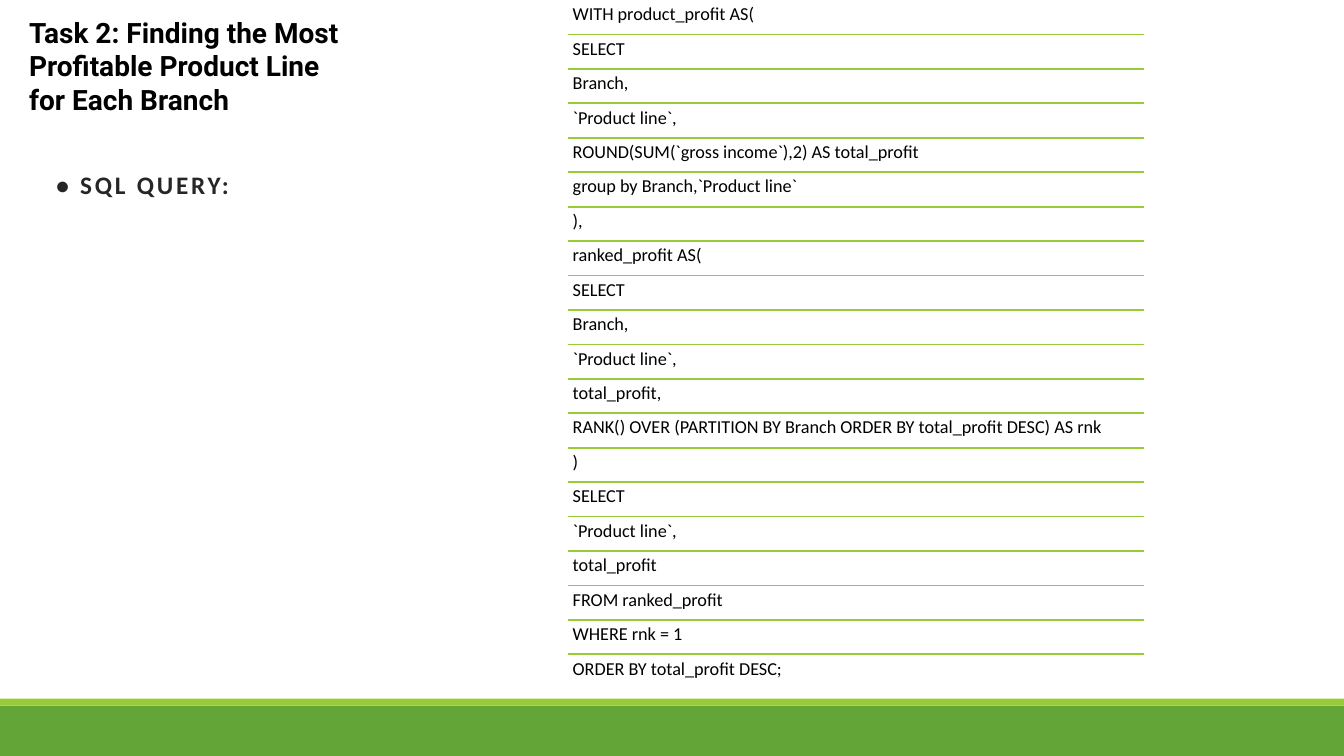
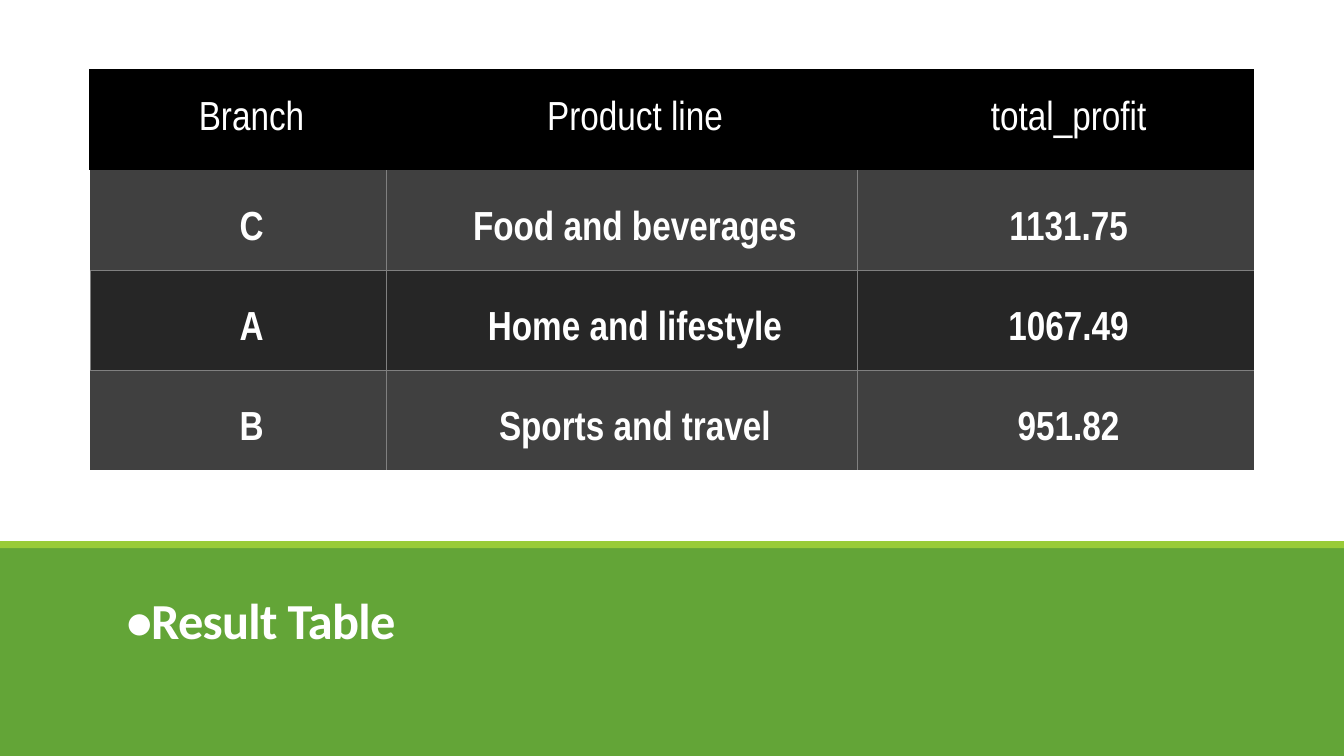
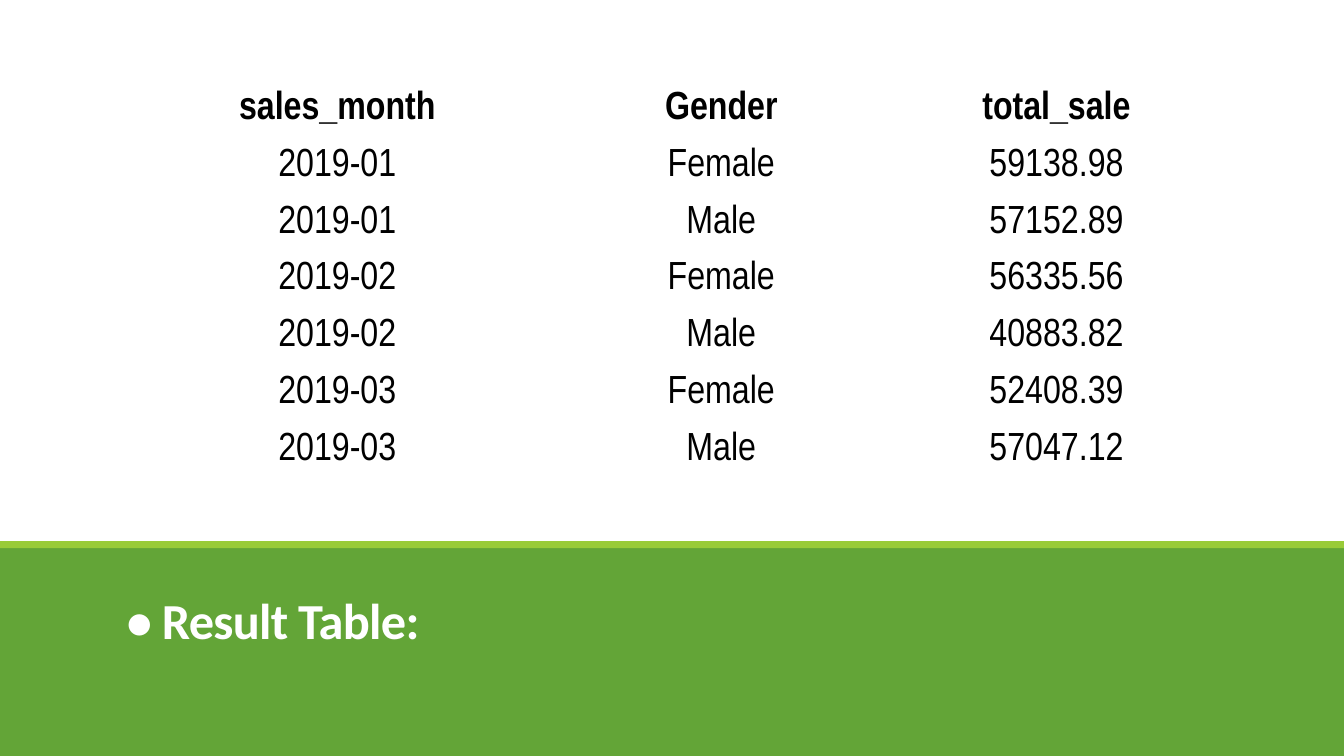
from lxml.etree import SubElement
from pptx import Presentation
from pptx.dml.color import RGBColor
from pptx.enum.shapes import MSO_CONNECTOR, MSO_SHAPE
from pptx.enum.text import MSO_ANCHOR, PP_ALIGN
from pptx.oxml.ns import qn
from pptx.util import Pt

WIDTH, HEIGHT = 960, 540
GREEN, LIME, WHITE, BLACK = "63A537", "99CB38", "FFFFFF", "000000"
CHARCOAL, SLATE, GREY = "262626", "404040", "808080"
PLAIN_TABLE = "{2D5ABB26-0587-4C30-8999-92F81FD0307C}"


def color(value):
    return RGBColor.from_string(value)


def write_text(frame, text, size=18, font="Calibri", ink=BLACK, bold=False,
               align=PP_ALIGN.LEFT, line_spacing=None, tracking=0):
    para = frame.paragraphs[0]
    para.alignment = align
    if line_spacing:
        para.line_spacing = line_spacing
    span = para.add_run()
    span.text = text
    span.font.size = Pt(size)
    span.font.name = font
    span.font.bold = bold
    span.font.color.rgb = color(ink)
    if tracking:
        span._r.get_or_add_rPr().set("spc", str(int(tracking * 100)))


def add_borders(cell, borders):
    properties = cell._tc.get_or_add_tcPr()
    for side in "LRTB":
        if side in borders:
            ink, width = borders[side]
            line = SubElement(properties, qn(f"a:ln{side}"), w=str(Pt(width)))
            fill = SubElement(line, qn("a:solidFill"))
            SubElement(fill, qn("a:srgbClr"), val=ink)


class SalesDeck:
    def __init__(self):
        self.deck = Presentation()
        self.deck.slide_width = Pt(WIDTH)
        self.deck.slide_height = Pt(HEIGHT)
        self.page = None

    def new_page(self, band_top, stripe_top):
        self.page = self.deck.slides.add_slide(self.deck.slide_layouts[6])
        self.bar(band_top, HEIGHT - band_top, GREEN)
        self.bar(stripe_top, 5, LIME)

    def bar(self, top, height, fill):
        shape = self.page.shapes.add_shape(
            MSO_SHAPE.RECTANGLE, 0, Pt(top), Pt(WIDTH), Pt(height))
        shape.shadow.inherit = False
        shape.fill.solid()
        shape.fill.fore_color.rgb = color(fill)
        shape.line.fill.background()

    def text(self, left, top, width, height, text, inset=None,
             anchor=MSO_ANCHOR.TOP, **style):
        box = self.page.shapes.add_textbox(Pt(left), Pt(top), Pt(width), Pt(height))
        frame = box.text_frame
        frame.word_wrap = True
        frame.vertical_anchor = anchor
        if inset is not None:
            frame.margin_left = frame.margin_right = Pt(inset)
            frame.margin_top = frame.margin_bottom = Pt(inset)
        write_text(frame, text, **style)

    def rule(self, left, top, width):
        line = self.page.shapes.add_connector(
            MSO_CONNECTOR.STRAIGHT, Pt(left), Pt(top), Pt(left + width), Pt(top))
        line.line.color.rgb = color(LIME)
        line.line.width = Pt(1.25)
        SubElement(line._element.spPr, qn("a:effectLst"))

    def ruled_list(self, left, width, pitch, entries):
        for index, entry in enumerate(entries):
            top = index * pitch
            if index:
                self.rule(left, top, width)
            self.text(left, top, width, pitch, entry, inset=3.6, size=13,
                      line_spacing=0.9)

    def table(self, left, top, widths, row_height, rows, insets, cell_style):
        table = self.page.shapes.add_table(
            len(rows), len(widths), Pt(left), Pt(top),
            Pt(sum(widths)), Pt(row_height * len(rows))).table
        table.first_row = table.horz_banding = False
        table._tbl.tblPr.find(qn("a:tableStyleId")).text = PLAIN_TABLE
        for column, width in zip(table.columns, widths):
            column.width = Pt(width)
        for row_index, values in enumerate(rows):
            table.rows[row_index].height = Pt(row_height)
            for column_index, value in enumerate(values):
                cell = table.cell(row_index, column_index)
                fill, borders, anchor, style = cell_style(row_index, column_index)
                cell.vertical_anchor = anchor
                (cell.margin_left, cell.margin_top,
                 cell.margin_right, cell.margin_bottom) = map(Pt, insets)
                add_borders(cell, borders)
                if fill:
                    cell.fill.solid()
                    cell.fill.fore_color.rgb = color(fill)
                else:
                    cell.fill.background()
                write_text(cell.text_frame, value, font="Arial Narrow",
                           align=PP_ALIGN.CENTER, **style)

    def query_page(self, title, label, query):
        self.new_page(504, 499)
        self.text(13.7, 7.2, 252, 80, title, size=20, font="Roboto", bold=True)
        self.text(33.1, 117.4, 159, 29, label, ink=CHARCOAL, bold=True, tracking=2)
        self.ruled_list(405.5, 411.5, 24.6, query)

    def result_page(self, title):
        self.new_page(390, 386.5)
        self.text(83.5, 403.2, 792, 64.8, title, anchor=MSO_ANCHOR.BOTTOM, size=36,
                  ink=WHITE, bold=True, line_spacing=0.85, tracking=-0.5)


def profit_cell(row, column):
    style = {"size": 29, "ink": WHITE, "bold": row > 0}
    borders = {}
    if row == 0:
        borders["T"] = (BLACK, 1.5)
        if column == 0:
            borders["L"] = (BLACK, 1.5)
        return BLACK, borders, MSO_ANCHOR.MIDDLE, style
    thin = (GREY, 0.5)
    if column > 0 or row == 2:
        borders["L"] = thin
    if column < 2:
        borders["R"] = thin
    if row < 3:
        borders["B" if row == 1 else "T"] = thin
    return (SLATE if row % 2 else CHARCOAL), borders, MSO_ANCHOR.BOTTOM, style


def sales_cell(row, column):
    return None, {}, MSO_ANCHOR.BOTTOM, {"size": 28, "bold": row == 0}


QUERY = [
    "WITH product_profit AS(",
    "SELECT",
    "Branch,",
    "`Product line`,",
    "ROUND(SUM(`gross income`),2) AS total_profit",
    "group by Branch,`Product line`",
    "),",
    "ranked_profit AS(",
    "SELECT",
    "Branch,",
    "`Product line`,",
    "total_profit,",
    "RANK() OVER (PARTITION BY Branch ORDER BY total_profit DESC) AS rnk",
    ")",
    "SELECT",
    "`Product line`,",
    "total_profit",
    "FROM ranked_profit",
    "WHERE rnk = 1",
    "ORDER BY total_profit DESC;",
]
PROFIT_ROWS = [
    ("Branch", "Product line", "total_profit"),
    ("C", "Food and beverages", "1131.75"),
    ("A", "Home and lifestyle", "1067.49"),
    ("B", "Sports and travel", "951.82"),
]
SALES_ROWS = [
    ("sales_month", "Gender", "total_sale"),
    ("2019-01", "Female", "59138.98"),
    ("2019-01", "Male", "57152.89"),
    ("2019-02", "Female", "56335.56"),
    ("2019-02", "Male", "40883.82"),
    ("2019-03", "Female", "52408.39"),
    ("2019-03", "Male", "57047.12"),
]


def main():
    sales = SalesDeck()
    sales.query_page("Task 2: Finding the Most Profitable Product Line for Each Branch",
                     "• SQL QUERY:", QUERY)
    sales.result_page("•Result Table")
    sales.table(64.5, 50.3, (211.7, 336.3, 283), 71.3, PROFIT_ROWS,
                (19.5, 15, 0.7, 15), profit_cell)
    sales.result_page("• Result Table:")
    sales.table(72, 50.3, (337.7, 211, 267.8), 40.7, SALES_ROWS,
                (0.7, 0.7, 0.7, 0), sales_cell)
    sales.deck.save("out.pptx")


if __name__ == "__main__":
    main()
